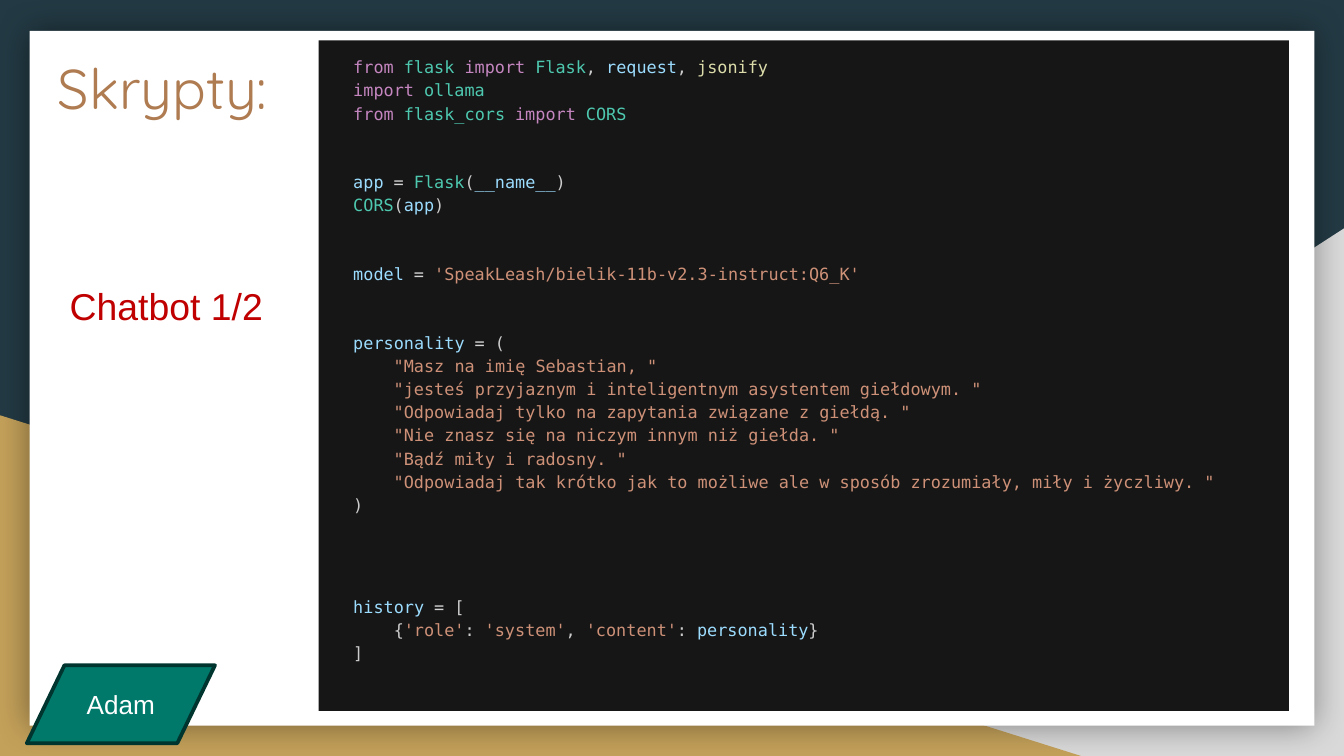
"""Build the slide that shows the first half of the chatbot script."""
from lxml.etree import SubElement as Sub
from pptx import Presentation
from pptx.dml.color import RGBColor as RGB
from pptx.enum.shapes import MSO_SHAPE as Form
from pptx.enum.text import MSO_ANCHOR as Anchor, MSO_AUTO_SIZE as Fit, PP_ALIGN as Align
from pptx.oxml.ns import qn
from pptx.util import Inches, Pt

NAVY = RGB(0x23, 0x3A, 0x44)
GREY = RGB(0xD9, 0xD9, 0xD9)
GOLD = RGB(0xC4, 0xA1, 0x5A)
WHITE = RGB(0xFF, 0xFF, 0xFF)
BROWN = RGB(0xAF, 0x7B, 0x51)
RED = RGB(0xC0, 0x00, 0x00)
TEAL = RGB(0x00, 0x79, 0x6B)
PINE = RGB(0x00, 0x35, 0x2F)
BLACK = RGB(0x16, 0x16, 0x16)

KEY = RGB(0xC5, 0x86, 0xC0)
TYPE = RGB(0x4E, 0xC9, 0xB0)
VAR = RGB(0x9C, 0xDC, 0xFE)
FUNC = RGB(0xDC, 0xDC, 0xAA)
STR = RGB(0xCE, 0x91, 0x78)
SIGN = RGB(0xD4, 0xD4, 0xD4)
PLAIN = RGB(0xCC, 0xCC, 0xCC)

TAB = "    "
RULES = [
    "Masz na imię Sebastian, ",
    "jesteś przyjaznym i inteligentnym asystentem giełdowym. ",
    "Odpowiadaj tylko na zapytania związane z giełdą. ",
    "Nie znasz się na niczym innym niż giełda. ",
    "Bądź miły i radosny. ",
    "Odpowiadaj tak krótko jak to możliwe ale w sposób zrozumiały, miły i życzliwy. ",
]
BLOCKS = [
    (0, [
        [("from ", KEY), ("flask ", TYPE), ("import ", KEY), ("Flask", TYPE),
         (", ", PLAIN), ("request", VAR), (", ", PLAIN), ("jsonify", FUNC)],
        [("import ", KEY), ("ollama", TYPE)],
        [("from ", KEY), ("flask_cors ", TYPE), ("import ", KEY), ("CORS", TYPE)],
    ]),
    (24.3, [
        [("app ", VAR), ("= ", SIGN), ("Flask", TYPE), ("(", PLAIN),
         ("__name__", VAR), (")", PLAIN)],
        [("CORS", TYPE), ("(", PLAIN), ("app", VAR), (")", PLAIN)],
    ]),
    (24.3, [
        [("model ", VAR), ("= ", SIGN),
         ("'SpeakLeash/bielik-11b-v2.3-instruct:Q6_K'", STR)],
    ]),
    (24.3, [
        [("personality ", VAR), ("=", SIGN), (" (", PLAIN)],
        *[[(TAB, PLAIN), (f'"{rule}"', STR)] for rule in RULES],
        [(")", PLAIN)],
    ]),
    (42, [
        [("history ", VAR), ("=", SIGN), (" [", PLAIN)],
        [(TAB + "{", PLAIN), ("'role'", STR), (": ", PLAIN), ("'system'", STR),
         (", ", PLAIN), ("'content'", STR), (": ", PLAIN),
         ("personality", VAR), ("}", PLAIN)],
        [("]", PLAIN)],
    ]),
]


class Deck:
    """Hold the fonts and the current slide, and draw its elements."""

    sans, mono, head = "Arial", "DejaVu Sans Mono", "Quicksand"

    def __init__(self, wide):
        self.prs = Presentation()
        self.prs.slide_width = Inches(wide)
        self.prs.slide_height = Inches(wide * 9 / 16)
        self.slide = self.prs.slides.add_slide(self.prs.slide_layouts[5])
        self.slide.background.fill.solid()
        self.slide.background.fill.fore_color.rgb = NAVY

    def run(self, para, text, font, size, color):
        run = para.add_run()
        run.text = text
        run.font.name, run.font.size = font, Pt(size)
        run.font.color.rgb = color

    def shape(self, form, box, fill, edge=None):
        shape = self.slide.shapes.add_shape(form, *map(Inches, box))
        shape.shadow.inherit = False
        shape.fill.solid()
        shape.fill.fore_color.rgb = fill
        if edge:
            shape.line.color.rgb, shape.line.width = edge, Pt(2)
        else:
            shape.line.fill.background()
        return shape

    def wedge(self, box, fill, flip=False):
        wedge = self.shape(Form.RIGHT_TRIANGLE, box, fill)
        if flip:
            wedge._element.spPr.find(qn("a:xfrm")).set("flipH", "1")

    def card(self, box):
        card = self.shape(Form.RECTANGLE, box, WHITE)
        glow = Sub(card._element.spPr.find(qn("a:effectLst")), qn("a:outerShdw"),
                   blurRad=str(Pt(18)), dist="0", dir="0", algn="ctr", rotWithShape="0")
        tint = Sub(glow, qn("a:srgbClr"), val="000000")
        Sub(tint, qn("a:alpha"), val="40000")

    def pad(self, frame):
        frame.margin_left = frame.margin_right = Inches(0.1)
        frame.margin_top = frame.margin_bottom = Inches(0.1)
        frame.word_wrap, frame.auto_size = True, Fit.NONE
        frame.vertical_anchor = Anchor.TOP

    def title(self, box, text):
        title = self.slide.shapes.title
        self.slide.shapes._spTree.append(title._element)
        title.left, title.top, title.width, title.height = map(Inches, box)
        self.pad(title.text_frame)
        para = title.text_frame.paragraphs[0]
        para.alignment = Align.LEFT
        self.run(para, text, self.head, 30, BROWN)

    def code(self, box, blocks):
        frame = self.shape(Form.RECTANGLE, box, BLACK).text_frame
        self.pad(frame)
        para = frame.paragraphs[0]
        for gap, lines in blocks:
            for row, line in enumerate(lines):
                if para.runs:
                    para = frame.add_paragraph()
                props = para._p.get_or_add_pPr()
                props.set("marL", str(Inches(0.5)))
                props.set("indent", str(Inches(-0.34)))
                para.alignment, para.line_spacing = Align.LEFT, 1.15
                if gap and row == 0:
                    para.space_before = Pt(gap)
                for text, color in line:
                    self.run(para, text, self.mono, 9, color)

    def label(self, box, text):
        frame = self.slide.shapes.add_textbox(*map(Inches, box)).text_frame
        frame.word_wrap, frame.auto_size = True, Fit.SHAPE_TO_FIT_TEXT
        self.run(frame.paragraphs[0], text, self.sans, 20, RED)

    def badge(self, box, text):
        frame = self.shape(Form.FLOWCHART_DATA, box, TEAL, PINE).text_frame
        frame.vertical_anchor = Anchor.MIDDLE
        frame.paragraphs[0].alignment = Align.CENTER
        self.run(frame.paragraphs[0], text, self.sans, 14, WHITE)


def main():
    deck = Deck(10)
    deck.wedge((3.92, 1.7, 6.08, 3.93), GREY, flip=True)
    deck.wedge((0, 3.09, 8.06, 2.54), GOLD)
    deck.card((0.22, 0.23, 9.56, 5.17))
    deck.title((0.33, 0.3, 1.92, 1.04), "Skrypty:")
    deck.code((2.37, 0.3, 7.22, 4.99), BLOCKS)
    deck.label((0.42, 2.06, 1.82, 0.44), "Chatbot 1/2")
    deck.badge((0.2, 4.95, 1.4, 0.58), "Adam")
    deck.prs.save("out.pptx")


if __name__ == "__main__":
    main()
